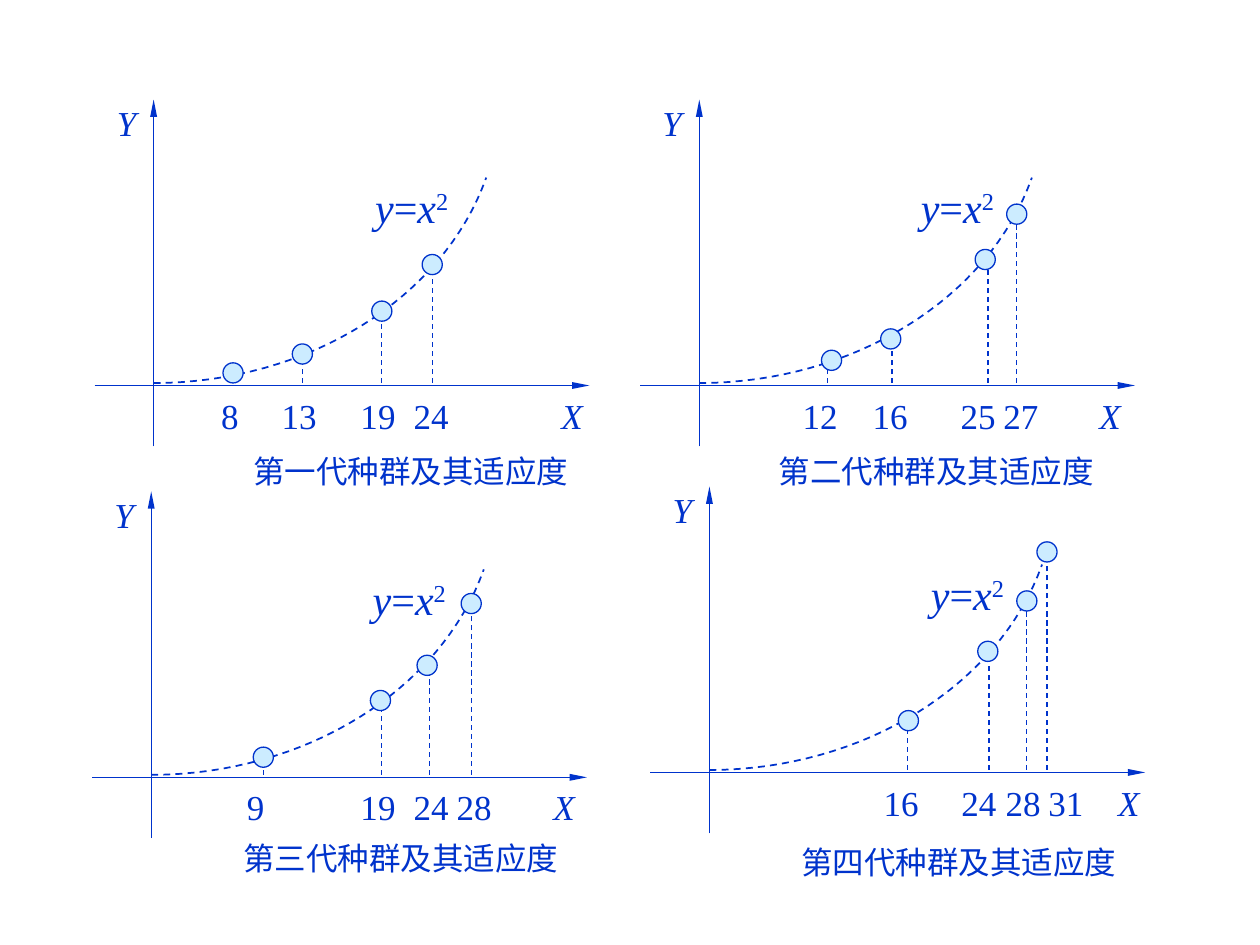
import pptx
import pptx.util
import pptx.dml.color
import pptx.enum.dml
import pptx.enum.shapes
import pptx.oxml
import pptx.oxml.ns

Pt = pptx.util.Pt
BLUE, PALE = "0033CC", "CCECFF"
SERIF = "Times New Roman"
DASH = pptx.enum.dml.MSO_LINE.DASH


def color(code):
    return pptx.dml.color.RGBColor.from_string(code)


def text(words, x, y, wide, high, size=20, font=SERIF, pad=(7.2, 3.6), tabs=()):
    """Add a text box; words is a list of (text, italic, raised)."""
    frame = slide.shapes.add_textbox(Pt(x), Pt(y), Pt(wide), Pt(high)).text_frame
    frame.word_wrap = True
    frame.margin_left = frame.margin_right = Pt(pad[0])
    frame.margin_top = frame.margin_bottom = Pt(pad[1])
    para = frame.paragraphs[0]
    if tabs:
        stops = pptx.oxml.ns.qn("a:tabLst")
        stops = para._p.get_or_add_pPr().makeelement(stops, {})
        para._p.get_or_add_pPr().append(stops)
        for pos in tabs:
            tab = stops.makeelement(pptx.oxml.ns.qn("a:tab"),
                                    {"pos": str(int(Pt(pos))), "algn": "ctr"})
            stops.append(tab)
    for part, slant, raised in words:
        run = para.add_run()
        run.text = part
        run.font.size, run.font.name, run.font.italic = Pt(size), font, slant
        run.font.color.rgb = color(BLUE)
        if raised:
            run._r.get_or_add_rPr().set("baseline", "30000")


deck = pptx.Presentation()
deck.slide_width, deck.slide_height = Pt(720), Pt(540)
slide = deck.slides.add_slide(deck.slide_layouts[6])

# Each panel: caption, origin, caption offset, X label offset, points.
# Each point: number, number x, dot x, dot height, drop line x.
panels = [
    ("第一代种群及其适应度", 87.8, 220.3, 56.9, 38.2, 239.2,
     [("8", 43.6, 45.4, 7.2, None), ("13", 83.2, 85, 18, 85),
      ("19", 128.2, 130.4, 42.5, 130.4), ("24", 158.5, 159.2, 69.1, 159.2)]),
    ("第二代种群及其适应度", 399.6, 220.3, 45.4, 38.2, 234.7,
     [("12", 69, 75.6, 14.4, 73.4), ("16", 109, 109.4, 26.6, 110.2),
      ("25", 159.3, 163.4, 72, 164.9), ("27", 183.8, 181.4, 97.9, 181.4)]),
    ("第三代种群及其适应度", 86.4, 444.2, 52.6, 35.3, 235.9,
     [("9", 59.6, 64.1, 11.5, 64.1), ("19", 129.6, 131, 43.9, 131.8),
      ("24", 159.9, 157.7, 64, 159.1), ("28", 184.5, 182.9, 99.3, 182.9)]),
    ("第四代种群及其适应度", 405.4, 441.4, 52.5, 40.3, 239.7,
     [("16", 109.5, 113.7, 29.6, 113), ("24", 154, 159.1, 69.2, 159.8),
      ("28", 179.2, 181.4, 98, 181.4), ("31", 203.7, 192.9, 126, 192.9)]),
]
base = 1.4   # height of the curve's start above the X axis
dot = 11.5
steps = 32

for title, ox, oy, capx, capy, endx, points in panels:
    # Axes with arrows, then dashed drop lines
    lines = [(ox - 33.8, oy, ox + 249, oy, True),
             (ox, oy + 34.8, ox, oy - 163.4, True)]
    lines += [(ox + drop, oy - base, ox + drop, oy - rise, False)
              for _, _, _, rise, drop in points if drop is not None]
    for x1, y1, x2, y2, axis in lines:
        line = slide.shapes.add_connector(pptx.enum.shapes.MSO_CONNECTOR.STRAIGHT,
                                          Pt(x1), Pt(y1), Pt(x2), Pt(y2))
        line.line.color.rgb, line.line.width = color(BLUE), Pt(0.75)
        prop = line._element.spPr
        if axis:
            head = prop.makeelement(pptx.oxml.ns.qn("a:tailEnd"),
                                    {"type": "triangle", "w": "sm", "len": "lg"})
            line.line._ln.append(head)
        else:
            line.line.dash_style = DASH
        prop.append(prop.makeelement(pptx.oxml.ns.qn("a:effectLst"), {}))

    # Dashed curve, sampled from a cubic Bezier
    trace = []
    for step in range(steps + 1):
        t = step / steps
        b1, b2, b3 = 3 * t * (1 - t) ** 2, 3 * t * t * (1 - t), t ** 3
        trace.append((Pt(ox + 87.8 * b1 + 165.6 * b2 + 190.1 * b3),
                      Pt(oy - base - 48.2 * b2 - 117.4 * b3)))
    pen = slide.shapes.build_freeform(*trace[0])
    pen.add_line_segments(trace[1:], close=False)
    curve = pen.convert_to_shape()
    curve.shadow.inherit = False
    curve.fill.background()
    curve.line.color.rgb, curve.line.width = color(BLUE), Pt(1)
    curve.line.dash_style = DASH

    # Dots
    for _, _, x, rise, _ in points:
        ball = slide.shapes.add_shape(pptx.enum.shapes.MSO_SHAPE.OVAL,
                                      Pt(ox + x - dot / 2), Pt(oy - rise - dot / 2),
                                      Pt(dot), Pt(dot))
        ball.shadow.inherit = False
        ball.fill.solid()
        ball.fill.fore_color.rgb = color(PALE)
        ball.line.color.rgb, ball.line.width = color(BLUE), Pt(0.75)

    # Labels and caption
    text([("Y", True, False)], ox - 28.1, oy - 165.6, 30, 31.7)
    text([("y", True, False), ("=", False, False), ("x", True, False),
          ("2", False, True)], ox + 119.5, oy - 120.2, 62.6, 36, size=24)
    marks = "".join("\t" + point[0] for point in points)
    text([(marks + "\t", False, False), ("X", True, False)], ox, oy + 1.4, 265, 31.7,
         pad=(0, 3.6), tabs=[point[1] for point in points] + [endx])
    text([(title, False, False)], ox + capx, oy + capy, 193, 21.6,
         size=18, font="Arial", pad=(0, 0))

deck.save("out.pptx")
